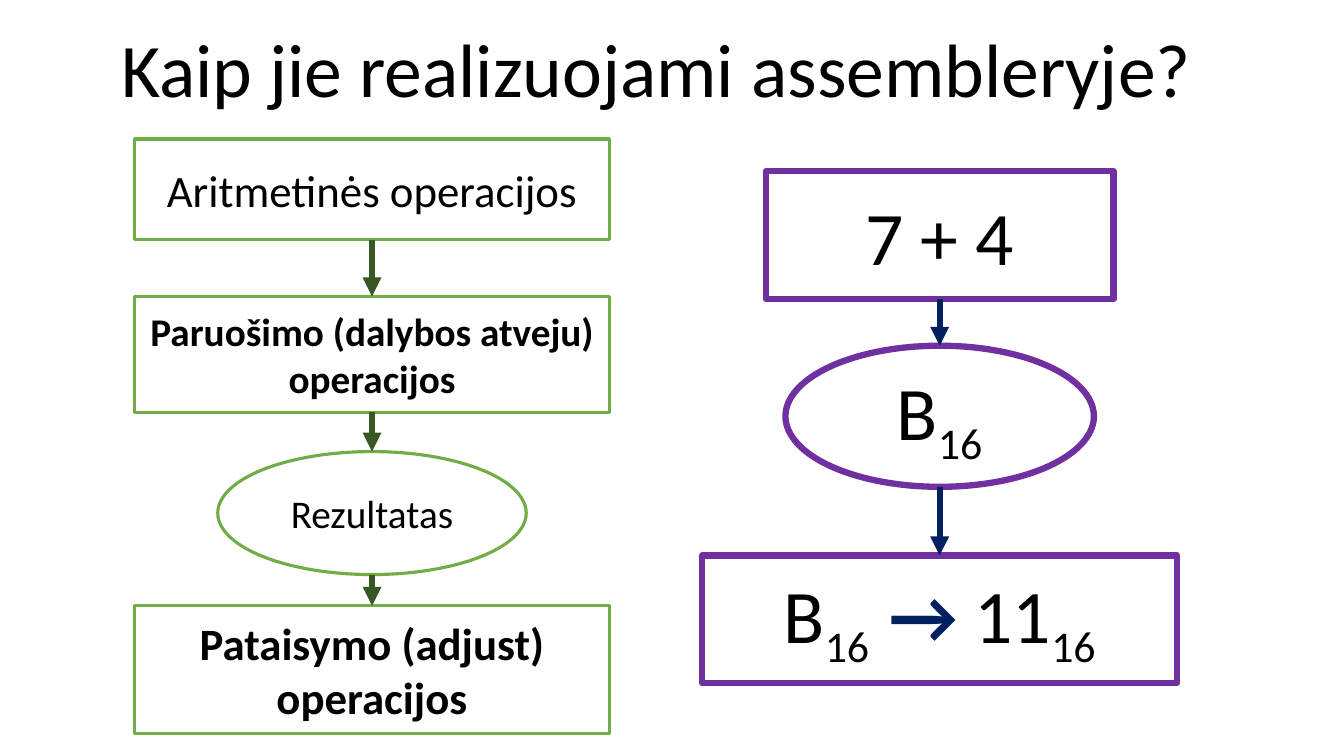
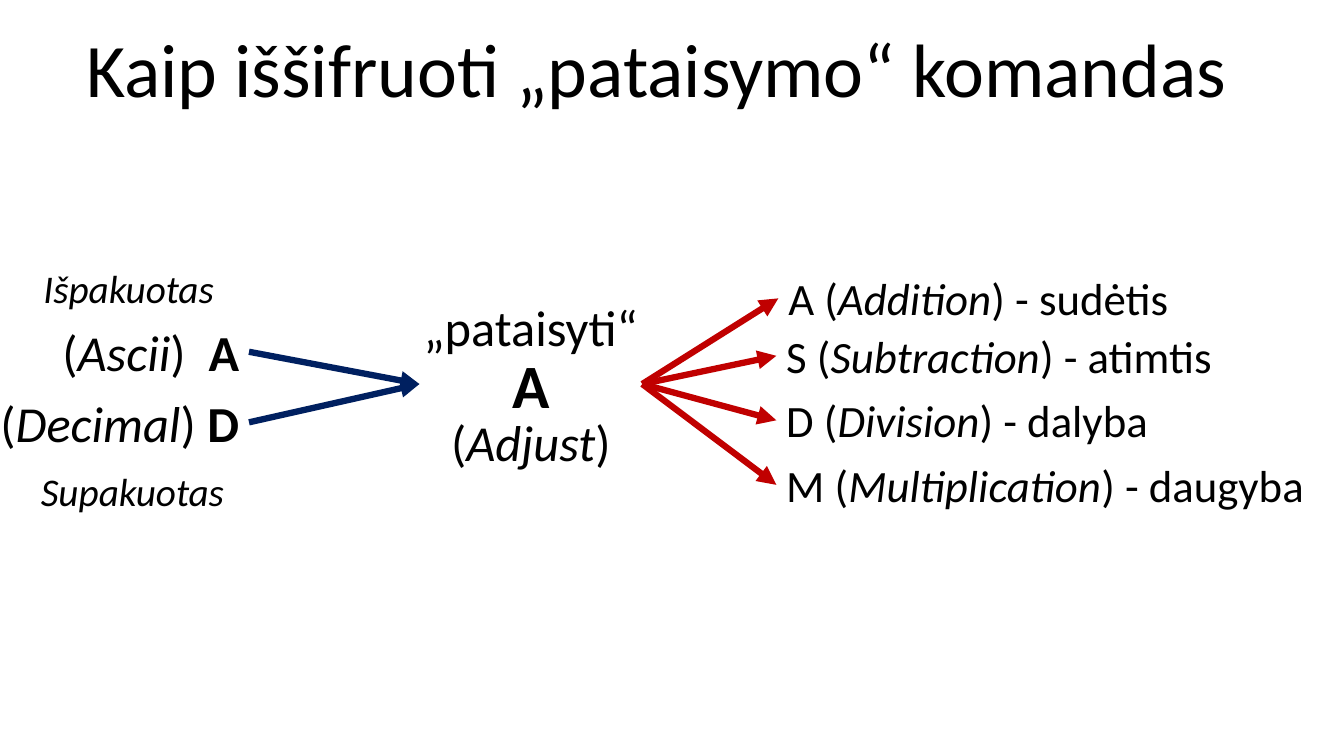
from pptx import Presentation, util as u
from pptx.dml.color import RGBColor
from pptx.enum import shapes, text
from pptx.oxml.ns import qn
from lxml import etree

# Shared style; the grid has one-inch columns and rows
WIDE, HIGH = 13.33, 7.5
FONT = "Calibri"
BLACK = RGBColor(0x00, 0x00, 0x00)
WHITE = RGBColor(0xFF, 0xFF, 0xFF)
GREEN = RGBColor(0x70, 0xAD, 0x47)
MOSS = RGBColor(0x38, 0x57, 0x23)
PLUM = RGBColor(0x70, 0x30, 0xA0)
NAVY = RGBColor(0x00, 0x20, 0x60)
RED = RGBColor(0xC0, 0x00, 0x00)
LEFT, MID, RIGHT = text.PP_ALIGN.LEFT, text.PP_ALIGN.CENTER, text.PP_ALIGN.RIGHT
RECT, OVAL = shapes.MSO_SHAPE.RECTANGLE, shapes.MSO_SHAPE.OVAL
THICK = 4.5


def grid(*cells):
    return [u.Inches(cell) for cell in cells]


def write(frame, runs, size=32, align=MID, anchor=text.MSO_ANCHOR.TOP):
    """Fill a frame with (words, marks): b bold, i italic, s subscript, n navy."""
    frame.word_wrap = True
    frame.auto_size = text.MSO_AUTO_SIZE.NONE
    frame.vertical_anchor = anchor
    para = frame.paragraphs[0]
    para.alignment = align
    for words, marks in runs:
        for row, line in enumerate(words.split("\n")):
            if row:
                para.add_line_break()
            run = para.add_run()
            run.text = line
            font = run.font
            font.name, font.size = FONT, u.Pt(size)
            font.bold, font.italic = "b" in marks, "i" in marks
            font.color.rgb = NAVY if "n" in marks else BLACK
            if "s" in marks:
                run._r.get_or_add_rPr().set("baseline", "-25000")


def label(slide, box, runs, **form):
    write(slide.shapes.add_textbox(*grid(*box)).text_frame, runs, **form)


def arrow(slide, start, end, color):
    line = slide.shapes.add_connector(
        shapes.MSO_CONNECTOR.STRAIGHT, *grid(*start, *end))
    line.line.color.rgb = color
    line.line.width = u.Pt(THICK)
    props = line._element.spPr
    etree.SubElement(props.find(qn("a:ln")), qn("a:tailEnd"), type="triangle")
    etree.SubElement(props, qn("a:effectLst"))


def start(deck, words):
    """Add a slide with its title."""
    slide = deck.slides.add_slide(deck.slide_layouts[5])
    title = slide.shapes.title
    title.left, title.top, title.width, title.height = grid(0.51, 0.17, 12, 1.01)
    write(title.text_frame, [(words, "")], size=54)
    return slide


def flow(slide, axis, top, nodes, edge, width, color):
    """Stack nodes on a vertical axis and join each to the next."""
    last = None
    for kind, gap, wide, high, size, runs in nodes:
        top += gap
        node = slide.shapes.add_shape(kind, *grid(axis - wide / 2, top, wide, high))
        node.shadow.inherit = False
        node.fill.solid()
        node.fill.fore_color.rgb = WHITE
        node.line.color.rgb = edge
        node.line.width = u.Pt(width)
        write(node.text_frame, runs, size=size, anchor=text.MSO_ANCHOR.MIDDLE)
        if last is not None:
            arrow(slide, (axis, last), (axis, top), color)
        top += high
        last = top


def modes(slide, edge, top, hub):
    """Right-aligned data formats that lead to the hub."""
    rows = [(0, "Ascii", ")  ", "A"), (0.7, "Decimal", ") ", "D")]
    for drop, name, close, key in rows:
        y = top + drop
        label(slide, (edge - 2.85, y, 2.85, 0.71),
              [("(", ""), (name, "i"), (close, ""), (key, "b")],
              size=36, align=RIGHT)
        arrow(slide, (edge, y + 0.35), hub, NAVY)
    for back, drop, name in [(0.25, -0.57, "Išpakuotas"), (0.15, 1.45, "Supakuotas")]:
        label(slide, (edge - back - 2.22, top + drop, 2.22, 0.57),
              [(name, "i")], size=28, align=RIGHT)


def core(slide, left, top, wide):
    """The central command letter with its meaning."""
    rows = [(0, 0.71, 36, [("„pataisyti“", "")]),
            (0.5, 0.84, 44, [("A", "b")]),
            (1.14, 0.71, 36, [("(", ""), ("Adjust", "i"), (")", "")])]
    for drop, high, size, runs in rows:
        label(slide, (left, top + drop, wide, high), runs, size=size)


def fan(slide, left, top, hub):
    """Operations reached from the hub."""
    rows = [(0.02, 0, "Addition", "sudėtis"), (0, 0.57, "Subtraction", "atimtis"),
            (0, 1.21, "Division", "dalyba"), (0, 1.85, "Multiplication", "daugyba")]
    for shift, drop, name, local in rows:
        x, y = left + shift, top + drop
        label(slide, (x, y, 5.4, 0.64),
              [(name[0] + " (", ""), (name, "i"), (") - " + local, "")], align=LEFT)
        arrow(slide, hub, (x, y + 0.32), RED)


def main():
    deck = Presentation()
    deck.slide_width, deck.slide_height = grid(WIDE, HIGH)

    # Steps beside a worked example
    slide = start(deck, "Kaip jie realizuojami assembleryje?")
    flow(slide, 3.69, 1.38, [
        (RECT, 0, 4.71, 1, 32, [("Aritmetinės operacijos", "")]),
        (RECT, 0.56, 4.71, 1.15, 28, [("Paruošimo (dalybos atveju)\noperacijos", "b")]),
        (OVAL, 0.39, 3.06, 1.22, 28, [("Rezultatas", "")]),
        (RECT, 0.31, 4.71, 1.27, 32, [("Pataisymo (adjust)\noperacijos", "b")]),
    ], GREEN, 2.25, MOSS)
    flow(slide, 9.32, 1.7, [
        (RECT, 0, 3.45, 1.27, 54, [("7 + 4", "")]),
        (OVAL, 0.46, 3.06, 1.4, 54, [("B", ""), ("16", "s")]),
        (RECT, 0.68, 4.71, 1.27, 54,
         [("B", ""), ("16  ", "s"), ("→ ", "bn"), ("11", ""), ("16", "s")]),
    ], PLUM, THICK, NAVY)

    # Command decoder
    slide = start(deck, "Kaip iššifruoti „pataisymo“ komandas")
    modes(slide, 2.47, 3.14, (4.16, 3.81))
    core(slide, 4.06, 2.89, 2.41)
    fan(slide, 7.7, 2.64, (6.37, 3.81))

    deck.save("out.pptx")


if __name__ == "__main__":
    main()
